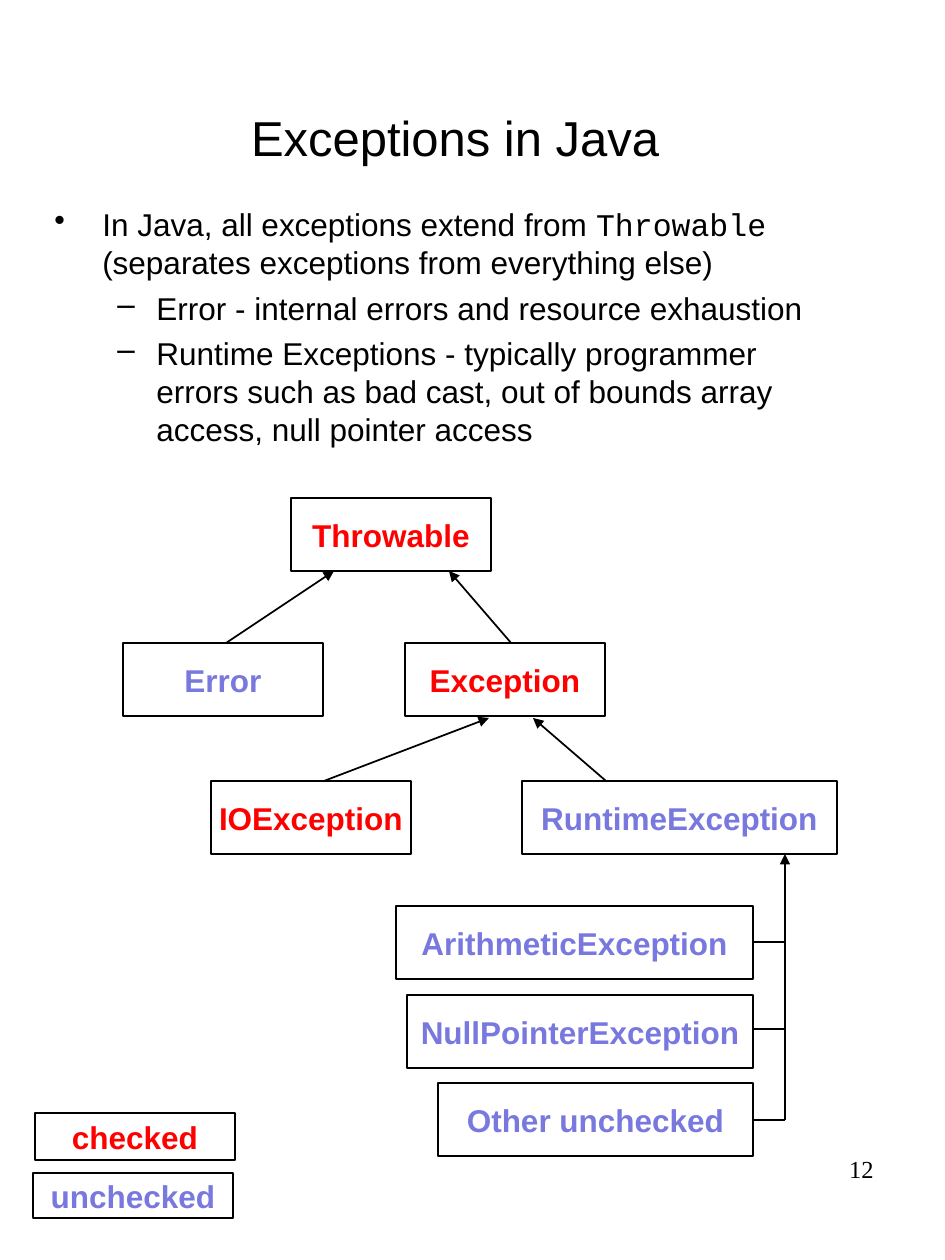
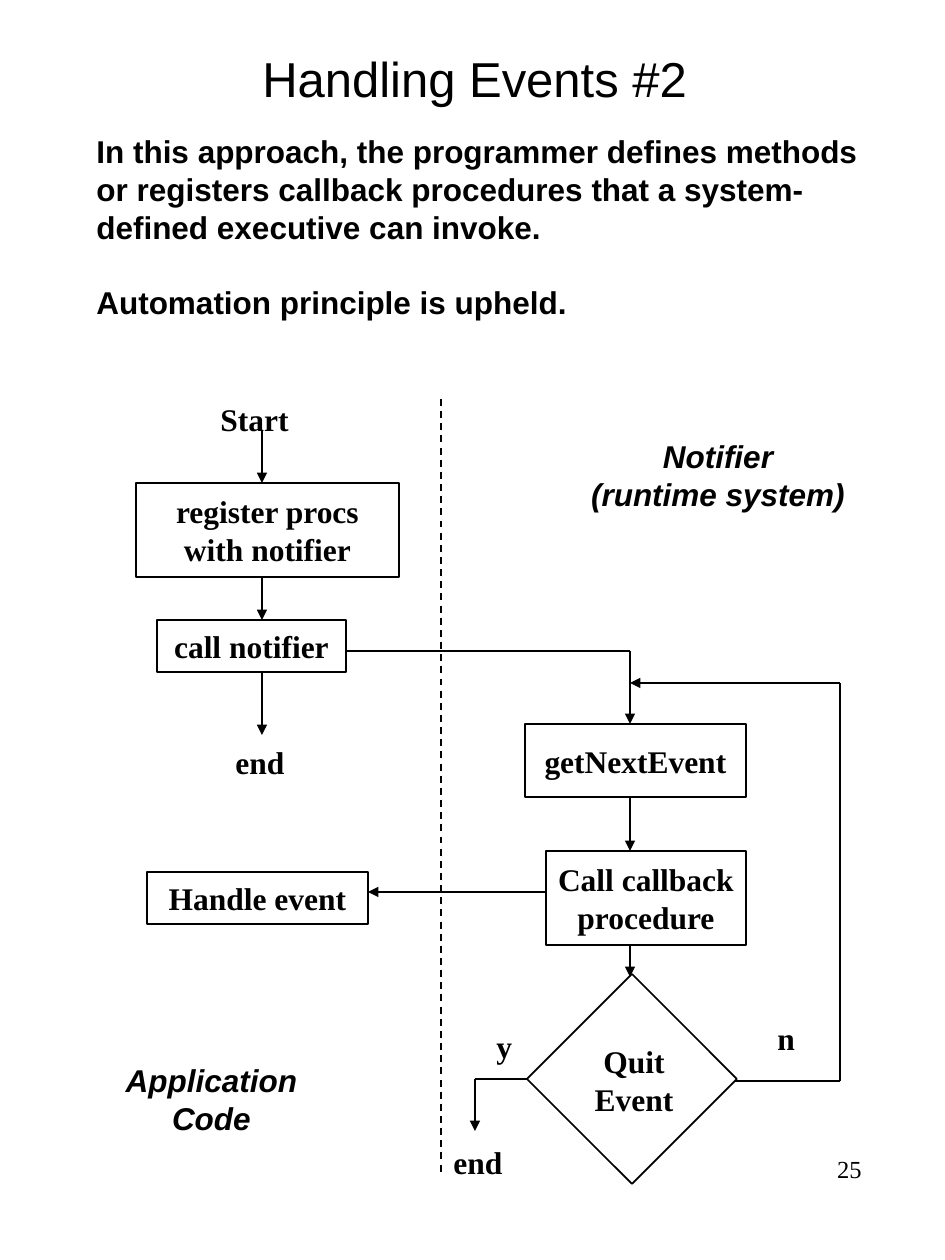
from dataclasses import dataclass
from itertools import pairwise

from lxml.etree import SubElement
from pptx import Presentation
from pptx.dml.color import RGBColor
from pptx.enum.dml import MSO_LINE_DASH_STYLE as Dash
from pptx.enum.shapes import MSO_CONNECTOR as Connector, MSO_SHAPE as Preset
from pptx.enum.text import MSO_ANCHOR as Anchor, MSO_AUTO_SIZE as AutoSize, PP_ALIGN as Align
from pptx.oxml.ns import qn
from pptx.util import Emu, Inches, Pt

BLACK = RGBColor(0x00, 0x00, 0x00)
WHITE = RGBColor(0xFF, 0xFF, 0xFF)
CHECKED = RGBColor(0xFF, 0x00, 0x00)
UNCHECKED = RGBColor(0x78, 0x78, 0xDE)
SANS, SERIF, MONO = "Arial", "Times New Roman", "Courier New"
TITLE_SIZE, TEXT_SIZE, NUMBER_SIZE = 28, 18, 14
PX_PER_INCH = 126
NODE_HEIGHT = 73

Point = tuple[int, int]


@dataclass(frozen=True)
class Style:
    font: str = SERIF
    color: RGBColor = BLACK
    size: int = TEXT_SIZE
    bold: bool = True
    italic: bool = False
    align: Align = Align.LEFT


TITLE = Style(SANS, size=TITLE_SIZE, bold=False, align=Align.CENTER)
NUMBER = Style(size=NUMBER_SIZE, bold=False, align=Align.RIGHT)
INTRO = Style(SANS)
BODY = Style(SANS, bold=False)
REGION = Style(SANS, italic=True, align=Align.CENTER)
STEP = Style(align=Align.CENTER)
RED = Style(SANS, CHECKED, align=Align.CENTER)
VIOLET = Style(SANS, UNCHECKED, align=Align.CENTER)


@dataclass(frozen=True)
class Node:
    """An outlined rectangle with centred text."""
    text: str
    left: int
    top: int
    width: int
    height: int = NODE_HEIGHT
    style: Style = STEP


@dataclass(frozen=True)
class Label:
    text: str
    left: int
    top: int
    width: int
    height: int = 50
    style: Style = Style()


@dataclass(frozen=True)
class Route:
    """A line through points, with an arrowhead at its last point."""
    points: tuple[Point, ...]
    arrow: bool = True
    dashed: bool = False


@dataclass(frozen=True)
class Bullet:
    spans: tuple[tuple[str, str], ...]
    mark: str
    level: int
    margin: float
    hanging: float


def px(length: int) -> Emu:
    return Emu(round(length * Inches(1) / PX_PER_INCH))


def format_paragraph(para, style: Style) -> None:
    para.alignment = style.align
    for span in para.runs:
        font = span.font
        font.name = style.font
        font.size = Pt(style.size)
        font.bold, font.italic = style.bold, style.italic
        font.color.rgb = style.color


def fill_text(frame, text: str, style: Style) -> None:
    frame.text = text
    for para in frame.paragraphs:
        format_paragraph(para, style)


def add_page(deck, title: str, area: tuple[int, int, int, int], number: Label):
    page = deck.slides.add_slide(deck.slide_layouts[5])
    box = page.shapes.title
    box.left, box.top, box.width, box.height = map(px, area)
    frame = box.text_frame
    frame.auto_size = AutoSize.NONE
    frame.vertical_anchor = Anchor.MIDDLE
    fill_text(frame, title, TITLE)
    add_label(page, number)
    return page


def add_label(page, label: Label):
    box = page.shapes.add_textbox(px(label.left), px(label.top), px(label.width), px(label.height))
    frame = box.text_frame
    if label.style is NUMBER:
        frame.word_wrap = True
    else:
        frame.word_wrap = False
        frame.auto_size = AutoSize.SHAPE_TO_FIT_TEXT
    fill_text(frame, label.text, label.style)
    return box


def add_node(page, node: Node) -> None:
    box = page.shapes.add_shape(
        Preset.RECTANGLE, px(node.left), px(node.top), px(node.width), px(node.height))
    box.shadow.inherit = False
    box.fill.solid()
    box.fill.fore_color.rgb = WHITE
    box.line.color.rgb = BLACK
    box.line.width = Pt(1)
    frame = box.text_frame
    frame.word_wrap = False
    frame.vertical_anchor = Anchor.MIDDLE
    fill_text(frame, node.text, node.style)


def add_route(page, route: Route) -> None:
    for start, end in pairwise(route.points):
        line = page.shapes.add_connector(Connector.STRAIGHT, *map(px, start + end))
        line.line.color.rgb = BLACK
        line.line.width = Pt(1)
        if route.dashed:
            line.line.dash_style = Dash.DASH
        if route.arrow and end == route.points[-1]:
            SubElement(line.line._get_or_add_ln(), qn("a:tailEnd"), type="triangle")
        SubElement(line._element.spPr, qn("a:effectLst"))


def add_bullets(page, area: tuple[int, int, int, int], bullets: list[Bullet]) -> None:
    frame = page.shapes.add_textbox(*map(px, area)).text_frame
    frame.word_wrap = True
    for index, bullet in enumerate(bullets):
        para = frame.add_paragraph() if index else frame.paragraphs[0]
        para.level = bullet.level
        properties = para._p.get_or_add_pPr()
        properties.set("marL", str(Inches(bullet.margin)))
        properties.set("indent", str(-Inches(bullet.hanging)))
        SubElement(properties, qn("a:buChar"), char=bullet.mark)
        for text, _ in bullet.spans:
            para.add_run().text = text
        format_paragraph(para, BODY)
        for span, (_, font) in zip(para.runs, bullet.spans):
            span.font.name = font
        if index:
            para.space_before = Pt(4.5)


def add_diagram(page, routes: list[Route], nodes: list[Node], labels: list[Label]) -> None:
    for route in routes:
        add_route(page, route)
    for node in nodes:
        add_node(page, node)
    for label in labels:
        add_label(page, label)


def sub_point(text: str) -> Bullet:
    return Bullet(((text, SANS),), "–", 1, 0.81, 0.31)


def build_exceptions(deck) -> None:
    page = add_page(deck, "Exceptions in Java", (53, 32, 804, 210),
                    Label("12", 825, 1148, 61, 84, NUMBER))
    add_bullets(page, (42, 199, 788, 1029), [
        Bullet((("In Java, all exceptions extend from ", SANS), ("Throwable ", MONO),
                ("(separates exceptions from everything else)", SANS)), "•", 0, 0.38, 0.38),
        sub_point("Error - internal errors and resource exhaustion"),
        sub_point("Runtime Exceptions - typically programmer errors such as bad cast, "
                  "out of bounds array access, null pointer access"),
    ])
    small, wide = 200, 315
    branch_right, trunk = 753, 785
    leaves = [
        Node(text, branch_right - width, top, width, style=VIOLET)
        for text, top, width in (("ArithmeticException", 906, 357),
                                 ("NullPointerException", 995, 346),
                                 ("Other unchecked", 1083, wide))
    ]
    nodes = [
        Node("Throwable", 291, 498, small, style=RED),
        Node("Error", 123, 643, small, style=VIOLET),
        Node("Exception", 405, 643, small, style=RED),
        Node("IOException", 211, 781, small, style=RED),
        Node("RuntimeException", 522, 781, wide, style=VIOLET),
        Node("checked", 35, 1113, small, 47, RED),
        Node("unchecked", 33, 1173, small, 45, VIOLET),
    ]
    spurs = [942, 1029, 1120]
    routes = [
        Route(((324, 781), (489, 718))),
        Route(((606, 781), (533, 718))),
        Route(((226, 643), (334, 571))),
        Route(((512, 644), (449, 571))),
        Route(((trunk, spurs[-1]), (trunk, 854))),
        *(Route(((branch_right, y), (trunk, y)), arrow=False) for y in spurs),
    ]
    add_diagram(page, routes, nodes + leaves, [])


def build_events(deck) -> None:
    page = add_page(deck, "Handling Events #2", (73, 32, 803, 91),
                    Label("25", 678, 1148, 196, 84, NUMBER))
    intro = add_label(page, Label(
        "In this approach, the programmer defines methods\n"
        "or registers callback procedures that a system-\n"
        "defined executive can invoke.\n"
        "Automation principle is upheld.", 84, 126, 810, 239, INTRO))
    intro.text_frame.paragraphs[-1].space_before = Pt(21.5)

    app, loop, back = 262, 630, 840
    quit_top, quit_right = (632, 974), (737, 1079)
    quit_bottom, quit_left = (632, 1184), (527, 1079)
    routes = [
        Route(((441, 399), (441, 1176)), arrow=False, dashed=True),
        Route(((app, 431), (app, 483))),
        Route(((app, 577), (app, 620))),
        Route(((app, 672), (app, 735))),
        Route(((347, 651), (loop, 651), (loop, 724))),
        Route(((loop, 798), (loop, 851))),
        Route(((loop, 945), (loop, 977))),
        Route(((546, 892), (368, 892))),
        Route((quit_top, quit_right, quit_bottom, quit_left, quit_top), arrow=False),
        Route((quit_left, (475, 1079), (475, 1131))),
        Route(((735, 1081), (back, 1081), (back, 683), (loop, 683))),
    ]
    nodes = [
        Node("register procs\nwith notifier", 136, 483, 263, 94),
        Node("call notifier", 157, 620, 189, 52),
        Node("Handle event", 147, 872, 221, 52),
        Node("getNextEvent", 525, 724, 221),
        Node("Call callback\nprocedure", 546, 851, 200, 94),
    ]
    labels = [
        Label("Start", 208, 394, 93),
        Label("end", 223, 737, 74),
        Label("end", 441, 1137, 74),
        Label("y", 484, 1021, 40),
        Label("n", 765, 1013, 43),
        Label("Quit\nEvent", 574, 1036, 120, 88, STEP),
        Label("Notifier\n(runtime system)", 558, 431, 320, 88, REGION),
        Label("Application\nCode", 103, 1055, 217, 88, REGION),
    ]
    add_diagram(page, routes, nodes, labels)


def main() -> None:
    deck = Presentation()
    deck.slide_width, deck.slide_height = Inches(7.5), Inches(10)
    build_exceptions(deck)
    build_events(deck)
    deck.save("out.pptx")


if __name__ == "__main__":
    main()
